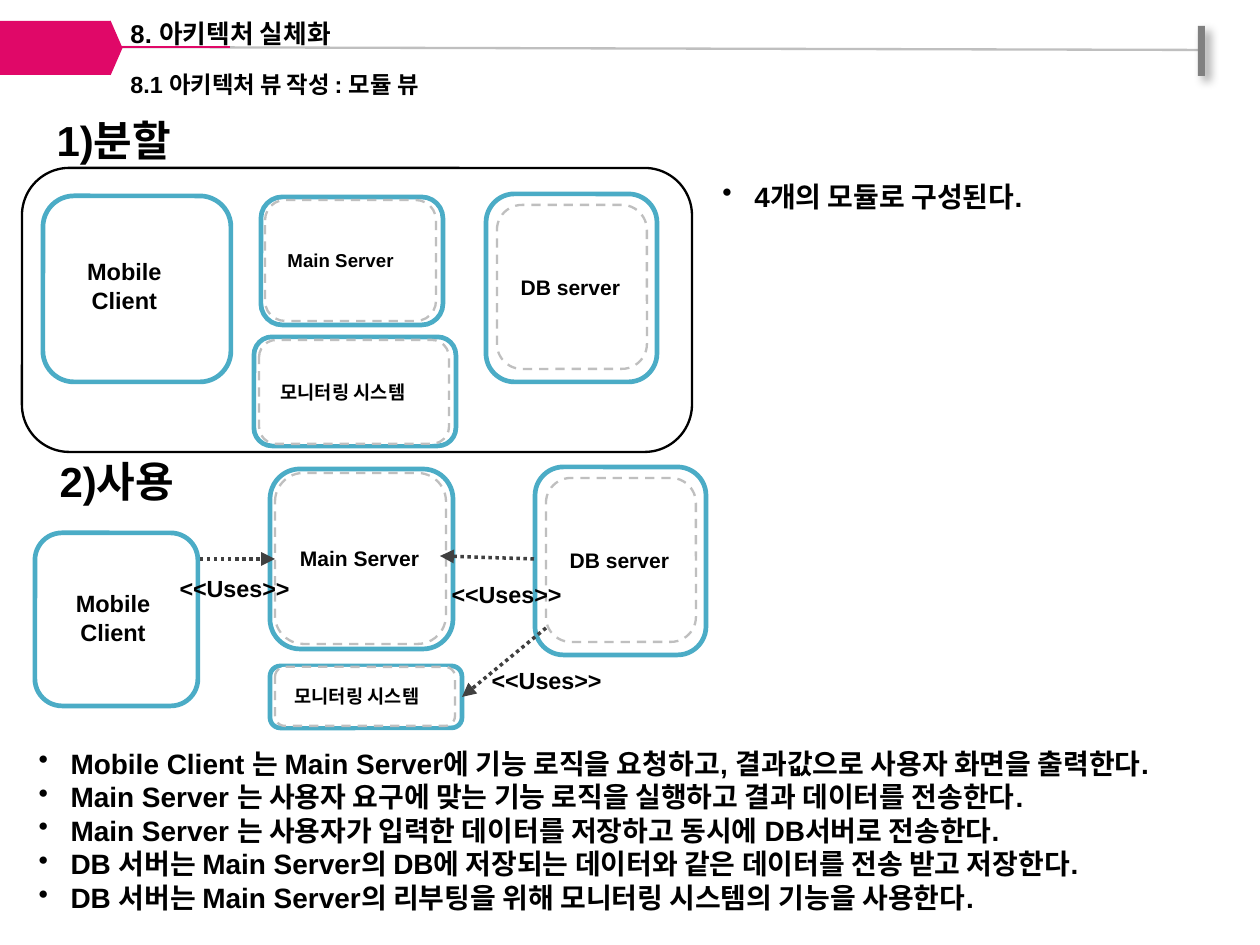
from lxml import etree
from pptx import Presentation
from pptx.dml.color import RGBColor
from pptx.enum.dml import MSO_LINE
from pptx.enum.shapes import MSO_CONNECTOR, MSO_SHAPE
from pptx.enum.text import MSO_ANCHOR, PP_ALIGN
from pptx.oxml.ns import qn
from pptx.util import Emu, Pt

RECTANGLE = MSO_SHAPE.RECTANGLE
ROUNDED = MSO_SHAPE.ROUNDED_RECTANGLE
TRIANGLE = MSO_SHAPE.ISOSCELES_TRIANGLE
STRAIGHT = MSO_CONNECTOR.STRAIGHT
DASH, DOTS = MSO_LINE.DASH, MSO_LINE.ROUND_DOT
MIDDLE = MSO_ANCHOR.MIDDLE
LEFT, CENTER = PP_ALIGN.LEFT, PP_ALIGN.CENTER

EMU_PER_PX = 914400 / 168


def px(length):
    return Emu(round(length * EMU_PER_PX))


def color(value):
    return RGBColor.from_string(value)


class SlideBuilder:
    FONT = "Arial"
    BLACK, WHITE, GRAY = "000000", "FFFFFF", "BFBFBF"
    BLUE, PINK, ARROW = "4BACC6", "E00868", "404040"

    def __init__(self, slide):
        self.slide = slide

    def shape(self, kind, box, fill=None, line=None, weight=1, dash=None):
        shape = self.slide.shapes.add_shape(kind, *map(px, box))
        shape.shadow.inherit = False
        if fill:
            shape.fill.solid()
            shape.fill.fore_color.rgb = color(fill)
        else:
            shape.fill.background()
        if line:
            shape.line.color.rgb = color(line)
            shape.line.width = Pt(weight)
            if dash:
                shape.line.dash_style = dash
        else:
            shape.line.fill.background()
        return shape

    def line(self, start, end, line, weight=1, dash=None, arrow=False):
        connector = self.slide.shapes.add_connector(
            STRAIGHT, *map(px, (*start, *end)))
        connector.line.color.rgb = color(line)
        connector.line.width = Pt(weight)
        if dash:
            connector.line.dash_style = dash
        properties = connector._element.spPr
        if arrow:
            outline = properties.find(qn("a:ln"))
            etree.SubElement(outline, qn("a:tailEnd"), type="triangle")
        etree.SubElement(properties, qn("a:effectLst"))

    def drop_shadow(self, shape):
        effects = shape._element.spPr.find(qn("a:effectLst"))
        shadow = etree.SubElement(
            effects, qn("a:outerShdw"), blurRad=str(Pt(4)),
            dist=str(Pt(3)), dir="2700000")
        tint = etree.SubElement(shadow, qn("a:srgbClr"), val=self.BLACK)
        etree.SubElement(tint, qn("a:alpha"), val="40000")

    def style(self, paragraph, size, align=LEFT):
        paragraph.alignment = align
        paragraph.font.size = Pt(size)
        for run in paragraph.runs:
            run.font.name = self.FONT
            run.font.size = Pt(size)
            run.font.bold = True
            run.font.color.rgb = color(self.BLACK)

    def text(self, box, lines, sizes, align=LEFT, bullet=False, gap=0):
        text_frame = self.slide.shapes.add_textbox(*map(px, box)).text_frame
        text_frame.word_wrap = True
        text_frame.text = "\n".join(lines)
        for index, paragraph in enumerate(text_frame.paragraphs):
            if bullet:
                properties = paragraph._p.get_or_add_pPr()
                properties.set("marL", str(px(32)))
                properties.set("indent", str(-px(32)))
                etree.SubElement(properties, qn("a:buChar"), char="•")
            if index and gap:
                paragraph.space_before = Pt(gap)
            self.style(paragraph, sizes[index % len(sizes)], align)

    def client(self, box, label_box):
        self.shape(ROUNDED, box, self.WHITE, self.BLUE, 2)
        self.text(label_box, ["Mobile Client"], [10.1], CENTER)

    def module(self, outer, inner, label, size):
        self.shape(ROUNDED, outer, None, self.BLUE, 2)
        shape = self.shape(ROUNDED, inner, self.WHITE, self.GRAY, 1, DASH)
        text_frame = shape.text_frame
        text_frame.word_wrap = True
        text_frame.vertical_anchor = MIDDLE
        text_frame.text = label
        self.style(text_frame.paragraphs[0], size)

    def uses(self, start, end, label_at):
        self.line(start, end, self.ARROW, 1.5, DOTS, arrow=True)
        self.text((*label_at, 155, 45), ["<<Uses>>"], [10])


def main():
    presentation = Presentation()
    presentation.slide_width = px(1260)
    presentation.slide_height = px(945)
    builder = SlideBuilder(
        presentation.slides.add_slide(presentation.slide_layouts[6]))

    # Header band
    builder.line((64, 47), (1198, 50), builder.GRAY)
    builder.drop_shadow(builder.shape(RECTANGLE, (1198, 26, 7, 50), "808080"))
    builder.line((114, 47), (230, 47), builder.PINK)
    pointer = builder.shape(TRIANGLE, (89, 42, 55, 12), builder.PINK)
    pointer.rotation = 90
    builder.shape(RECTANGLE, (0, 21, 111, 54), builder.PINK)
    builder.text((114, 10, 810, 102),
                 ["8. 아키텍처 실체화", "8.1 아키텍처 뷰 작성 : 모듈 뷰"],
                 [11, 10], gap=9)

    # Decomposition view
    builder.text((40, 106, 158, 67), ["1)분할"], [18])
    builder.client((43, 196, 188, 186), (61, 249, 127, 74))
    builder.module((261, 197, 182, 128), (265, 200, 171, 121),
                   "Main Server", 8)
    builder.module((486, 194, 171, 188), (497, 205, 150, 164),
                   "DB server", 9)
    builder.module((254, 337, 202, 109), (259, 340, 190, 104),
                   "모니터링 시스템", 8)
    builder.shape(ROUNDED, (22, 168, 670, 284), None, builder.BLACK)
    builder.text((706, 171, 400, 50), ["4개의 모듈로 구성된다."], [12],
                 bullet=True)

    # Uses view
    builder.text((43, 447, 158, 67), ["2)사용"], [18])
    builder.client((35, 533, 163, 173), (50, 581, 126, 74))
    builder.module((270, 469, 183, 180), (275, 473, 171, 171),
                   "Main Server", 9)
    builder.module((535, 467, 171, 188), (546, 478, 150, 164),
                   "DB server", 9)
    builder.module((270, 666, 192, 62), (275, 667, 180, 59),
                   "모니터링 시스템", 8)
    builder.uses((200, 559), (275, 559), (163, 566))
    builder.uses((534, 559), (440, 556), (435, 572))
    builder.uses((546, 628), (462, 697), (475, 658))

    # Explanation
    builder.text((22, 738, 1238, 200), [
        "Mobile Client 는 Main Server에 기능 로직을 요청하고, 결과값으로 사용자 화면을 출력한다.",
        "Main Server 는 사용자 요구에 맞는 기능 로직을 실행하고 결과 데이터를 전송한다.",
        "Main Server 는 사용자가 입력한 데이터를 저장하고 동시에 DB서버로 전송한다.",
        "DB 서버는 Main Server의 DB에 저장되는 데이터와 같은 데이터를 전송 받고 저장한다.",
        "DB 서버는 Main Server의 리부팅을 위해 모니터링 시스템의 기능을 사용한다.",
    ], [12], bullet=True)

    presentation.save("out.pptx")


if __name__ == "__main__":
    main()
